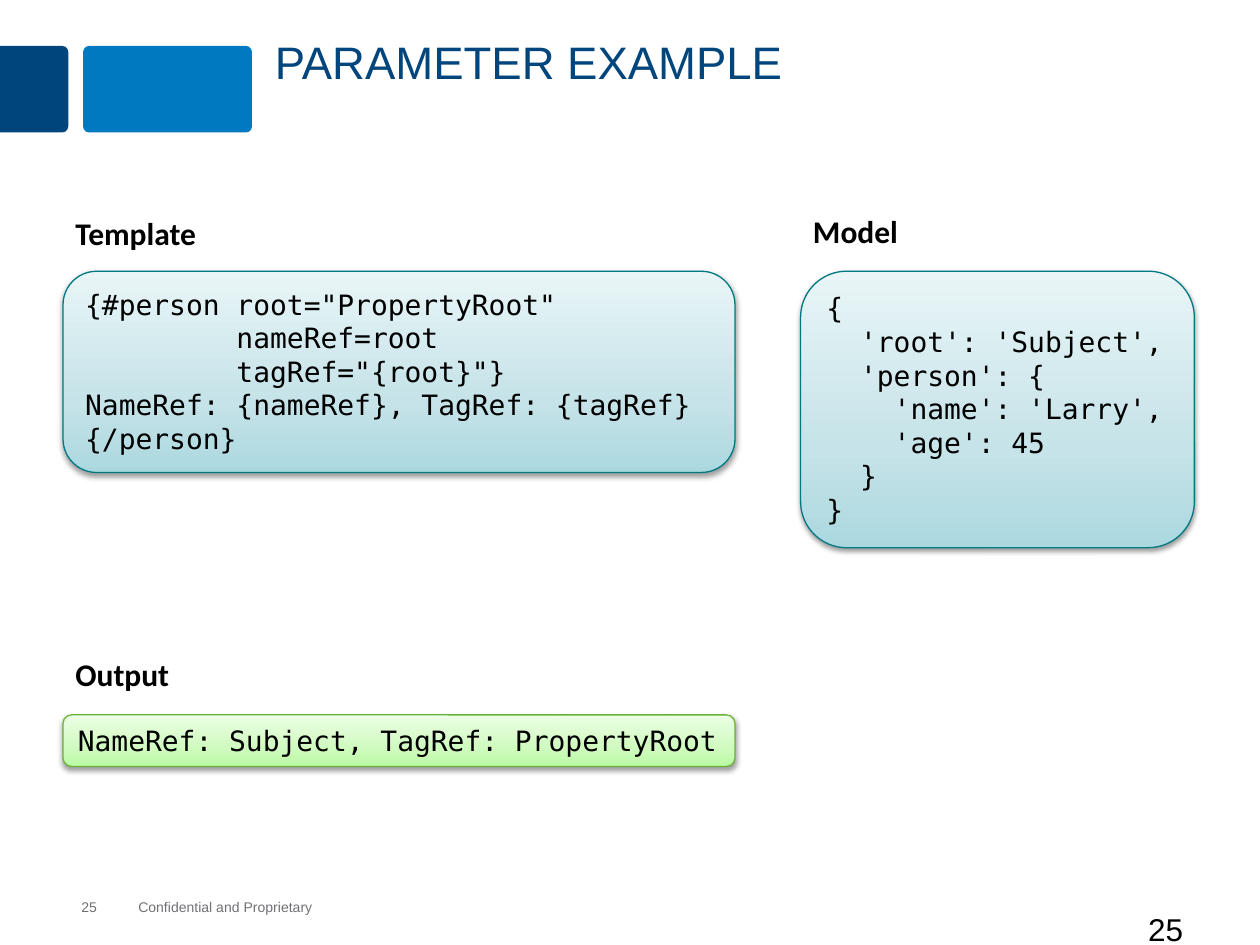
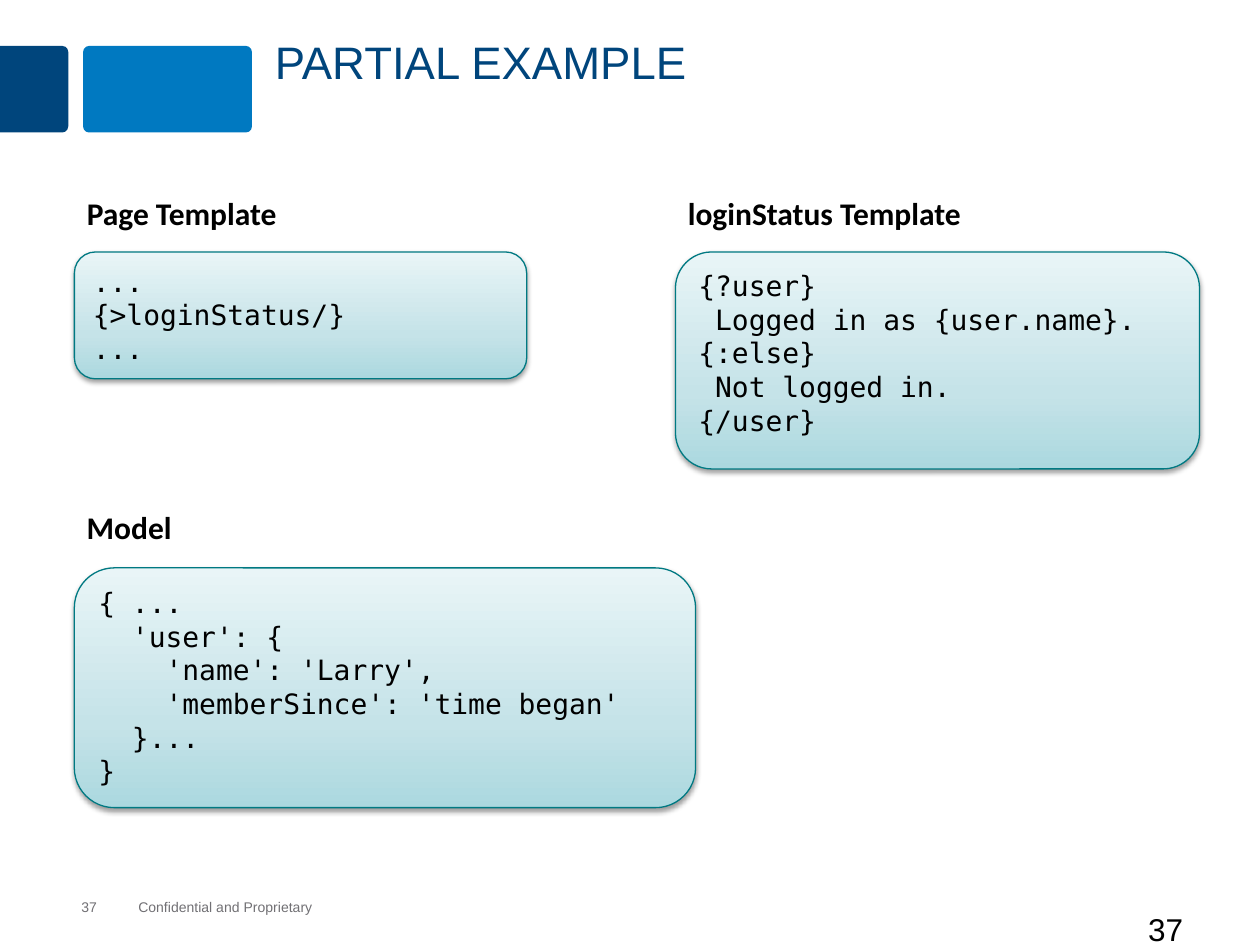
import pptx
import pptx.dml.color
import pptx.enum.shapes
import pptx.enum.text
import pptx.oxml
import pptx.oxml.ns
import pptx.util

Pt = pptx.util.Pt
SHAPES = pptx.enum.shapes.MSO_SHAPE
ANCHORS = pptx.enum.text.MSO_ANCHOR

NAVY, BLUE, GREY, BLACK = "00457C", "0079C1", "717074", "000000"
TEAL = {"line": "007982", "stops": {0: "ABD8DF", 35: "C5E3E8", 100: "E9F5F7"}}
GREEN = {"line": "6AB23B", "stops": {0: "BAFBA3", 35: "CFFBBF", 100: "ECFEE5"}}
HEADING_HEIGHT = 36


def color(value):
    return pptx.dml.color.RGBColor.from_string(value)


def place(box):
    return [Pt(length) for length in box]


def write(shape, text, font, size, ink, bold=False, spacing=None):
    frame = shape.text_frame
    frame.word_wrap = True
    frame.vertical_anchor = ANCHORS.TOP
    frame.text = text
    for paragraph in frame.paragraphs:
        paragraph.alignment = pptx.enum.text.PP_ALIGN.LEFT
        paragraph.line_spacing = spacing
        for run in paragraph.runs:
            run.font.name = font
            run.font.size = Pt(size)
            run.font.bold = bold
            run.font.color.rgb = color(ink)


def add_label(slide, box, text, font, size, ink, **style):
    label = slide.shapes.add_textbox(*place(box))
    write(label, text, font, size, ink, **style)
    return label


def add_block(slide, kind, box, fill, rounding):
    block = slide.shapes.add_shape(kind, *place(box))
    block.shadow.inherit = False
    block.fill.solid()
    block.fill.fore_color.rgb = color(fill)
    block.line.fill.background()
    block.adjustments[0] = rounding
    return block


def add_header(slide, box, title):
    left, top, width, height = box
    edge_width, edge_height = 39, 49.5
    edge = add_block(
        slide,
        SHAPES.ROUND_2_SAME_RECTANGLE,
        (left + (edge_width - edge_height) / 2, top + 8.25 + (edge_height - edge_width) / 2,
         edge_height, edge_width),
        NAVY, 0.09)
    edge.rotation = 90
    add_block(slide, SHAPES.ROUNDED_RECTANGLE, (left + 47.5, top + 8.25, 96.5, 49.5), BLUE, 0.07)
    add_label(slide, (left + 150, top, width - 168, height), title, "Arial", 26, NAVY, spacing=0.95)


def add_footer(slide, box, number):
    left, top, width, height = box
    parts = [(left, 32, number), (left + 32.5, 120, "Confidential and Proprietary")]
    for part_left, part_width, text in parts:
        label = add_label(slide, (part_left, top, part_width, 9.5), text, "Arial", 8, GREY)
        frame = label.text_frame
        frame.margin_left = frame.margin_right = frame.margin_top = frame.margin_bottom = 0
        frame.vertical_anchor = ANCHORS.MIDDLE
    add_label(slide, (left + width - 71, top + 3, 71, height), number, "Arial", 18, BLACK)


def style_card(card, palette):
    card.fill.gradient()
    card.fill.gradient_angle = 90
    namespace = pptx.oxml.ns.nsdecls("a")
    properties = card._element.spPr
    stops = properties.find(".//" + pptx.oxml.ns.qn("a:gsLst"))
    stops.clear()
    for position, value in palette["stops"].items():
        stops.append(pptx.oxml.parse_xml(
            f'<a:gs {namespace} pos="{position * 1000}"><a:srgbClr val="{value}"/></a:gs>'))
    card.line.color.rgb = color(palette["line"])
    card.line.width = Pt(0.75)
    card.shadow.inherit = False
    properties.find(pptx.oxml.ns.qn("a:effectLst")).append(pptx.oxml.parse_xml(
        f'<a:outerShdw {namespace} blurRad="{Pt(3.1)}" dist="{Pt(1.6)}" dir="5400000" '
        f'rotWithShape="0"><a:srgbClr val="{BLACK}"><a:alpha val="38000"/></a:srgbClr>'
        '</a:outerShdw>'))


def add_code_section(slide, box, heading, heading_rise, code, palette=TEAL):
    left, top, width, height = box
    card = slide.shapes.add_shape(SHAPES.ROUNDED_RECTANGLE, *place(box))
    style_card(card, palette)
    write(card, code, "DejaVu Sans Mono", 16, BLACK)
    add_label(slide, (left, top - heading_rise, width, HEADING_HEIGHT),
              heading, "Calibri", 18, BLACK, bold=True)


def add_example_slide(presentation, title, number, sections):
    slide = presentation.slides.add_slide(presentation.slide_layouts[6])
    add_header(slide, (0, 18, 720, 65.5), title)
    add_footer(slide, (46.5, 513.5, 673.5, 36), number)
    for section in sections:
        add_code_section(slide, *section)


PARAMETER_TEMPLATE = """{#person root="PropertyRoot"
         nameRef=root
         tagRef="{root}"}
NameRef: {nameRef}, TagRef: {tagRef}
{/person}"""

PERSON_MODEL = """{
  'root': 'Subject',
  'person': {
    'name': 'Larry',
    'age': 45
  }
}"""

PARAMETER_OUTPUT = "NameRef: Subject, TagRef: PropertyRoot"

PAGE_TEMPLATE = """...
{>loginStatus/}
..."""

LOGIN_TEMPLATE = """{?user}
 Logged in as {user.name}.
{:else}
 Not logged in.
{/user}"""

USER_MODEL = """{ ...
  'user': {
    'name': 'Larry',
    'memberSince': 'time began'
  }...
}"""


def main():
    presentation = pptx.Presentation()
    presentation.slide_width = Pt(720)
    presentation.slide_height = Pt(540)
    add_example_slide(presentation, "PARAMETER EXAMPLE", "25", [
        ((36, 155, 384, 115), "Template", 36, PARAMETER_TEMPLATE),
        ((457.5, 155, 225, 158), "Model", 37.5, PERSON_MODEL),
        ((36, 408.5, 384, 29.5), "Output", 37.5, PARAMETER_OUTPUT, GREEN),
    ])
    add_example_slide(presentation, "PARTIAL EXAMPLE", "37", [
        ((42.5, 144, 258.5, 72.5), "Page Template", 36.5, PAGE_TEMPLATE),
        ((42.5, 324.5, 355, 137), "Model", 38, USER_MODEL),
        ((386, 144, 299.5, 124), "loginStatus Template", 36.5, LOGIN_TEMPLATE),
    ])
    presentation.save("out.pptx")


if __name__ == "__main__":
    main()
